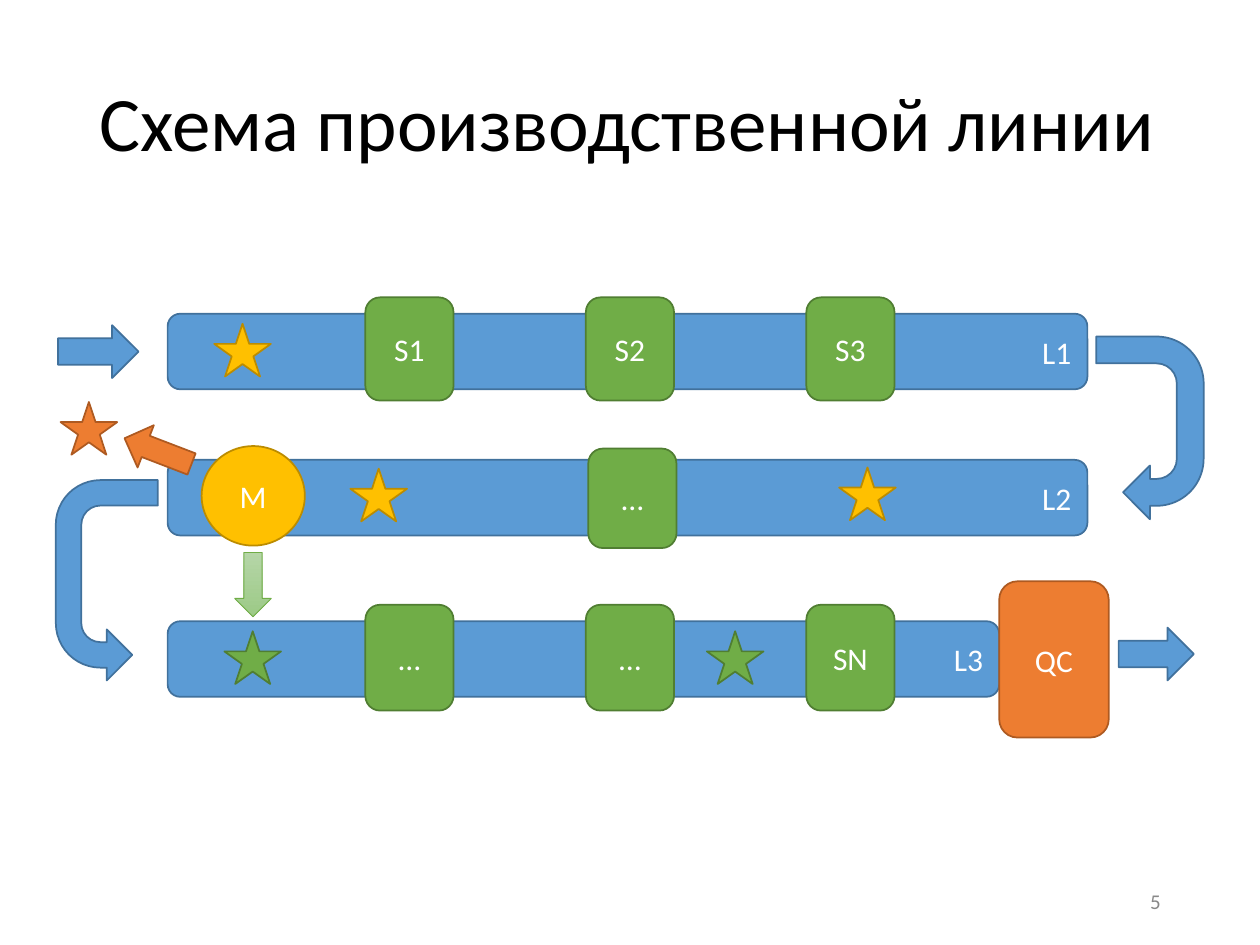
from pptx import Presentation
from pptx.dml.color import RGBColor
from pptx.enum.shapes import MSO_SHAPE
from pptx.enum.text import MSO_ANCHOR, PP_ALIGN
from pptx.util import Pt

FONT = "Calibri"
COLORS = {"black": "000000", "white": "FFFFFF", "gray": "898989",
          "fade_start": "B5D5A7", "fade_end": "9CCA86"}
# Fill and outline of each kind of part
STYLES = {"blue": ("5B9BD5", "41719C"), "green": ("70AD47", "507E32"),
          "gold": ("FFC000", "BC8C00"), "orange": ("ED7D31", "AE5A21")}

TITLE = "Схема производственной линии"
SLIDE_NUMBER = "5"

# Conveyor lines: label, top, width
LINE_LEFT, LINE_HEIGHT = 95.8, 43.2
LINES = [("L1", 179.3, 525.6), ("L2", 262.8, 525.6), ("L3", 355, 475.2)]

# Station rows: first left, top, height, labels
STATION_WIDTH, STATION_STEP = 50.4, 126
STATION_ROWS = [
    (208.8, 169.9, 59, ["S1", "S2", "S3"]),
    (208.8, 345.6, 60.5, ["…", "…", "SN"]),
    (336.2, 256.3, 56.9, ["…"]),
]

# Products: left, top, style
STAR_SIZE = (32.4, 30.2)
STARS = [
    (200.2, 267.8, "gold"), (128.2, 360.7, "green"), (34.6, 229.7, "orange"),
    (122.4, 185, "gold"), (479.5, 267.1, "gold"), (403.9, 360.7, "green"),
]

# Arrows: left, top, width, height, style, rotation
ARROWS = [
    (33.1, 185.8, 46.1, 30.2, "blue", 0),
    (639.2, 358.6, 43, 30.2, "blue", 0),
    (69.8, 244.8, 41, 25.9, "orange", 201),
]
TRANSFER_ARROW = (126.2, 323.6, 36.7, 20.9)
# Turns between lines: frame before the quarter turn, mirrored or not
TURNS = [((604.9, 213.8, 104.4, 61.4), False), ((3.8, 302.4, 114.5, 58.3), True)]

QUALITY_CONTROL = (571, 332.2, 62.6, 89.3)
MANIPULATOR = (115.2, 254.9, 59, 56.9)


def color(name):
    return RGBColor.from_string(COLORS[name])


def write(shape, text, size, color_name, align):
    frame = shape.text_frame
    frame.word_wrap = True
    frame.vertical_anchor = MSO_ANCHOR.MIDDLE
    paragraph = frame.paragraphs[0]
    paragraph.alignment = align
    run = paragraph.add_run()
    run.text = text
    run.font.name = FONT
    run.font.size = Pt(size)
    run.font.color.rgb = color(color_name)
    return paragraph


def add_part(slide, kind, box, style, label="", align=PP_ALIGN.CENTER, rotation=0):
    shape = slide.shapes.add_shape(kind, *map(Pt, box))
    fill, line = map(RGBColor.from_string, STYLES[style])
    shape.shadow.inherit = False
    shape.fill.solid()
    shape.fill.fore_color.rgb = fill
    shape.line.color.rgb = line
    shape.line.width = Pt(1)
    shape.rotation = rotation
    if label:
        write(shape, label, 18, "white", align)
    return shape


def add_text(slide, box, text, size, color_name, align):
    return write(slide.shapes.add_textbox(*map(Pt, box)), text, size, color_name, align)


def add_transfer_arrow(slide):
    arrow = add_part(slide, MSO_SHAPE.RIGHT_ARROW, TRANSFER_ARROW, "green", rotation=90)
    arrow.fill.gradient()
    arrow.fill.gradient_angle = 0
    for stop, name in zip(arrow.fill.gradient_stops, ("fade_start", "fade_end")):
        stop.color.rgb = color(name)
    arrow.line.color.rgb = RGBColor.from_string(STYLES["green"][0])
    arrow.line.width = Pt(0.5)


def main():
    presentation = Presentation()
    presentation.slide_width, presentation.slide_height = Pt(720), Pt(540)
    slide = presentation.slides.add_slide(presentation.slide_layouts[6])

    add_text(slide, (508.3, 500.4, 162, 28.8), SLIDE_NUMBER, 12, "gray", PP_ALIGN.RIGHT)

    for label, top, width in LINES:
        add_part(slide, MSO_SHAPE.ROUNDED_RECTANGLE,
                 (LINE_LEFT, top, width, LINE_HEIGHT), "blue", label, PP_ALIGN.RIGHT)

    for first_left, top, height, labels in STATION_ROWS:
        for column, label in enumerate(labels):
            left = first_left + column * STATION_STEP
            add_part(slide, MSO_SHAPE.ROUNDED_RECTANGLE,
                     (left, top, STATION_WIDTH, height), "green", label)

    for box, mirrored in TURNS:
        turn = add_part(slide, MSO_SHAPE.U_TURN_ARROW, box, "blue", rotation=90)
        if mirrored:
            turn._element.spPr.get_or_add_xfrm().set("flipV", "1")

    add_part(slide, MSO_SHAPE.ROUNDED_RECTANGLE, QUALITY_CONTROL, "orange", "QC")
    add_part(slide, MSO_SHAPE.OVAL, MANIPULATOR, "gold", "M")

    for left, top, style in STARS:
        add_part(slide, MSO_SHAPE.STAR_5_POINT, (left, top, *STAR_SIZE), style)
    for *box, style, rotation in ARROWS:
        add_part(slide, MSO_SHAPE.RIGHT_ARROW, box, style, rotation=rotation)
    add_transfer_arrow(slide)

    title = add_text(slide, (49.7, 28.8, 621.4, 87.1), TITLE, 44, "black", PP_ALIGN.LEFT)
    title.line_spacing = 0.9

    presentation.save("out.pptx")


if __name__ == "__main__":
    main()
